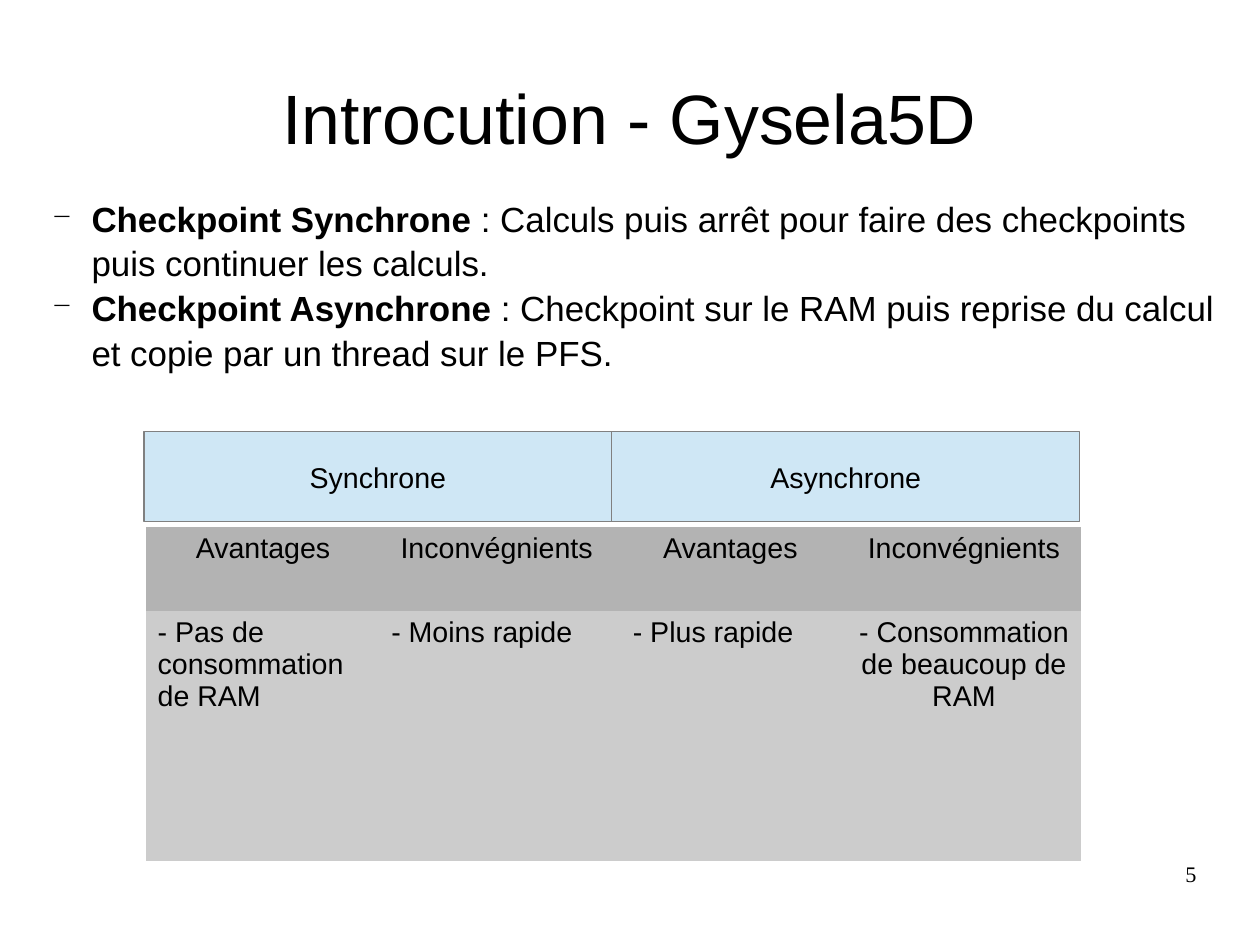
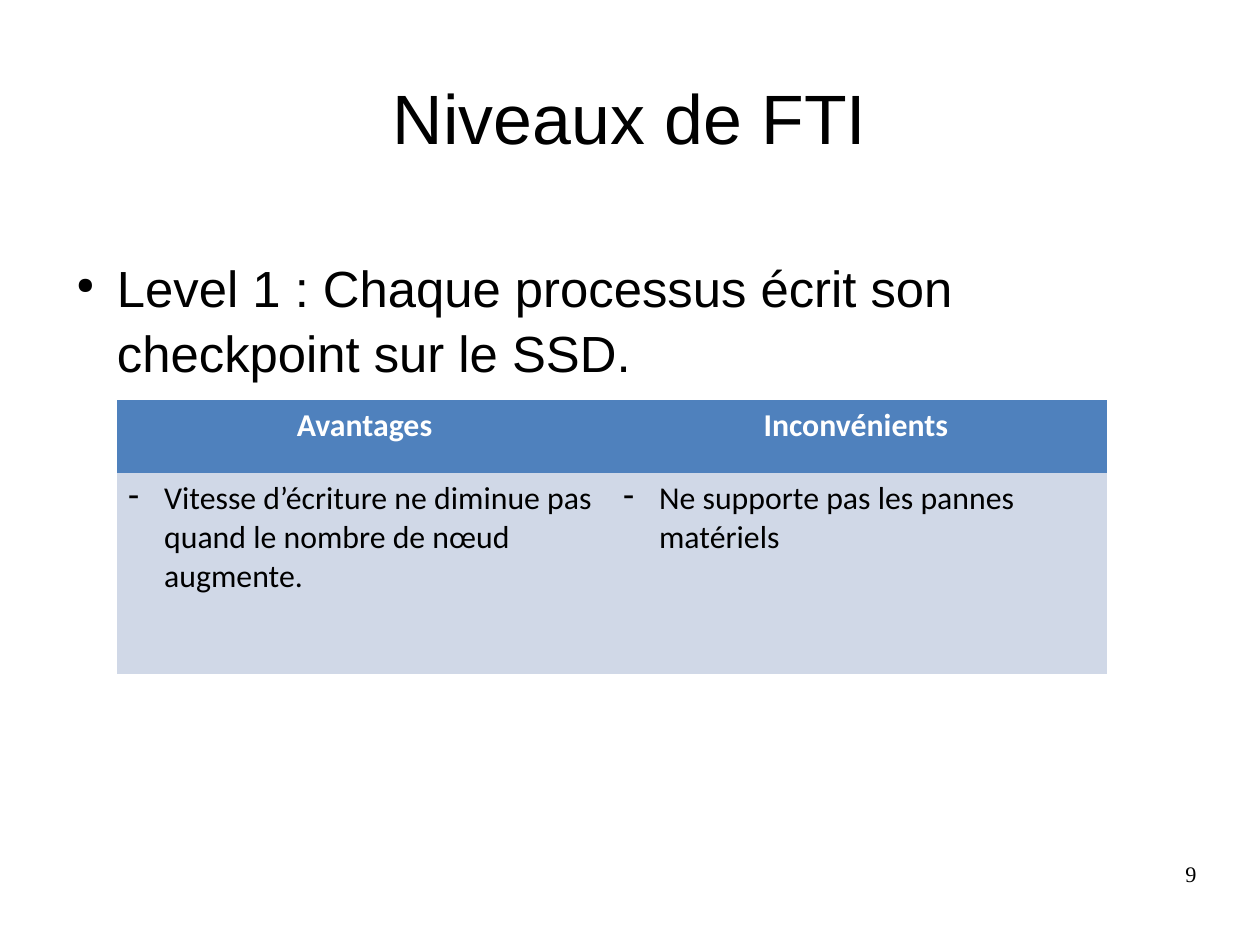
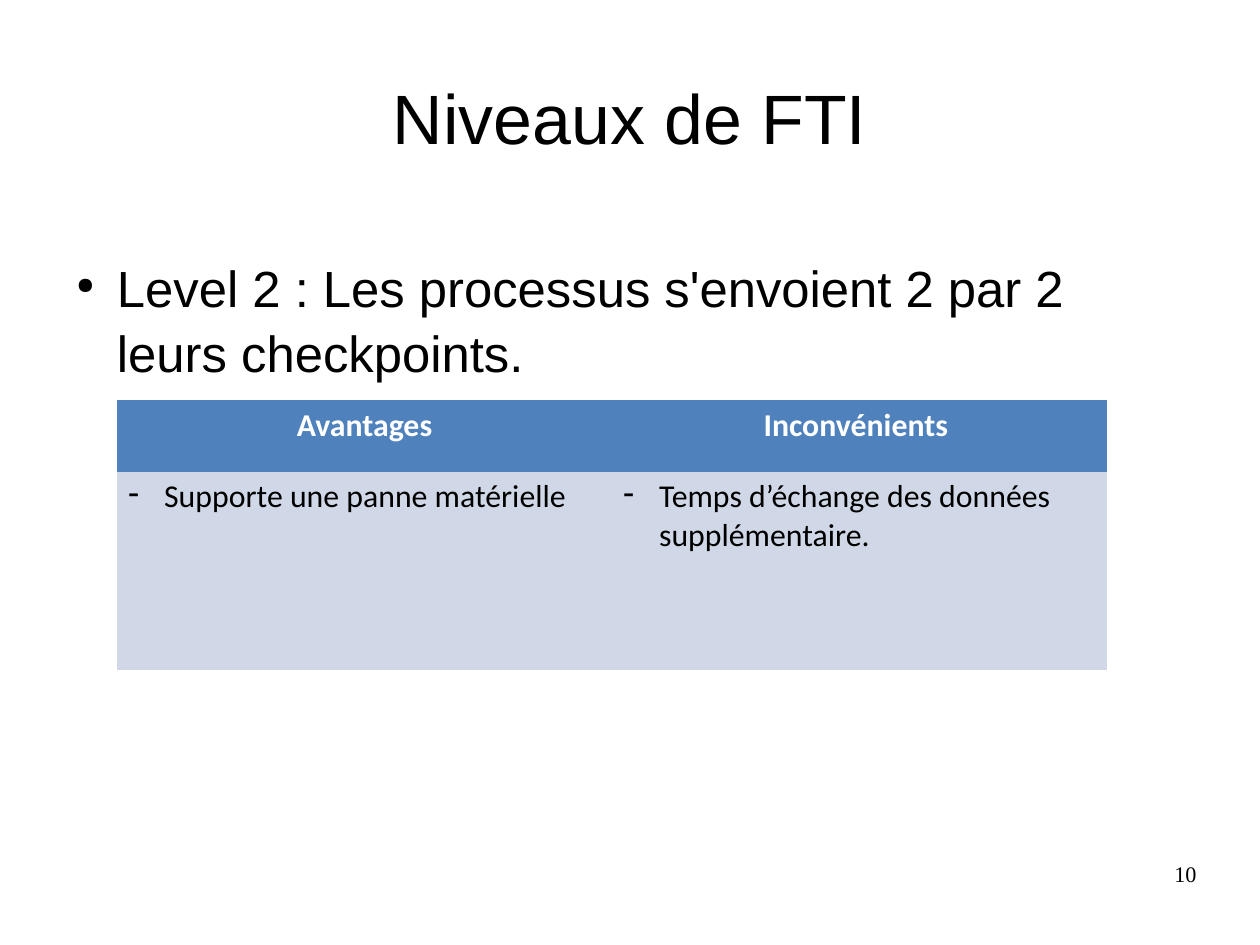
import lxml.etree
import pptx
import pptx.dml.color
import pptx.enum.shapes
import pptx.enum.text
import pptx.oxml.ns
import pptx.util

Pt = pptx.util.Pt
RGBColor = pptx.dml.color.RGBColor
ALIGN = pptx.enum.text.PP_ALIGN
ANCHOR = pptx.enum.text.MSO_ANCHOR
qn = pptx.oxml.ns.qn

# Shared look
BLACK = RGBColor(0x00, 0x00, 0x00)
WHITE = RGBColor(0xFF, 0xFF, 0xFF)
GREY = RGBColor(0x80, 0x80, 0x80)
HEADER_GREY = RGBColor(0xB3, 0xB3, 0xB3)
BODY_GREY = RGBColor(0xCC, 0xCC, 0xCC)
PALE_BLUE = RGBColor(0xCF, 0xE7, 0xF5)
HEADER_BLUE = RGBColor(0x4F, 0x81, 0xBD)
BODY_BLUE = RGBColor(0xD0, 0xD8, 0xE7)
SLIDE_WIDTH, SLIDE_HEIGHT = 793.7, 595.3
NO_TABLE_STYLE = "{2D5ABB26-0587-4C30-8999-92F81FD0307C}"
BODY_SPACING = 1.07


def add_bullet(paragraph, character, color, percent):
    properties = paragraph._p.get_or_add_pPr()
    bullet_color = lxml.etree.SubElement(properties, qn("a:buClr"))
    lxml.etree.SubElement(bullet_color, qn("a:srgbClr"), val=str(color))
    lxml.etree.SubElement(properties, qn("a:buSzPct"), val=str(percent * 1000))
    lxml.etree.SubElement(properties, qn("a:buChar"), char=character)


def write_text(frame, text, size=18, font="Arial", color=BLACK, bold=False,
               align=ALIGN.LEFT, bullet=None, bullet_percent=100,
               indent=0, hanging=0, spacing=None, first=True):
    """Write one paragraph; text is a string or a list of (text, bold) runs."""
    paragraph = frame.paragraphs[0] if first else frame.add_paragraph()
    if bullet:
        add_bullet(paragraph, bullet, color, bullet_percent)
    if indent:
        properties = paragraph._p.get_or_add_pPr()
        properties.set("marL", str(Pt(indent)))
        properties.set("indent", str(Pt(-hanging)))
    paragraph.alignment = align
    if spacing:
        paragraph.line_spacing = spacing
    for words, is_bold in [(text, bold)] if isinstance(text, str) else text:
        run = paragraph.add_run()
        run.text = words
        run.font.size = Pt(size)
        run.font.name = font
        run.font.bold = is_bold
        run.font.color.rgb = color


def add_text_box(slide, left, top, width, height, inset=(0, 0), anchor=ANCHOR.TOP):
    box = slide.shapes.add_textbox(Pt(left), Pt(top), Pt(width), Pt(height))
    frame = box.text_frame
    frame.word_wrap = True
    frame.vertical_anchor = anchor
    frame.margin_left = frame.margin_right = Pt(inset[0])
    frame.margin_top = frame.margin_bottom = Pt(inset[1])
    return frame


def add_slide(presentation, title, number):
    """Add a blank slide with the shared title and page number."""
    slide = presentation.slides.add_slide(presentation.slide_layouts[6])
    frame = add_text_box(slide, 39.6, 23.7, 714.3, 99.4, anchor=ANCHOR.MIDDLE)
    write_text(frame, title, size=44, align=ALIGN.CENTER)
    frame = add_text_box(slide, 568.8, 542.2, 185, 41)
    write_text(frame, number, size=14, font="Times New Roman", align=ALIGN.RIGHT)
    return slide


def add_header_box(slide, text, left, top, width, height):
    box = slide.shapes.add_shape(pptx.enum.shapes.MSO_SHAPE.RECTANGLE,
                                 Pt(left), Pt(top), Pt(width), Pt(height))
    box.shadow.inherit = False
    box.fill.solid()
    box.fill.fore_color.rgb = PALE_BLUE
    box.line.color.rgb = GREY
    box.line.width = Pt(0)
    box.text_frame.word_wrap = False
    box.text_frame.vertical_anchor = ANCHOR.MIDDLE
    write_text(box.text_frame, text, align=ALIGN.CENTER)


def add_table(slide, left, top, width, row_heights, rows, fills, formats):
    """Add a table of equal columns; each cell is text or (text, own format)."""
    column_count = len(rows[0])
    table = slide.shapes.add_table(len(rows), column_count, Pt(left), Pt(top),
                                   Pt(width), Pt(sum(row_heights))).table
    table._tbl.tblPr.find(qn("a:tableStyleId")).text = NO_TABLE_STYLE
    table.first_row = table.horz_banding = False
    for column in table.columns:
        column.width = Pt(width / column_count)
    for row, height, cells, fill, row_format in zip(
            table.rows, row_heights, rows, fills, formats):
        row.height = Pt(height)
        for cell, content in zip(row.cells, cells):
            text, own_format = (content, {}) if isinstance(content, str) else content
            cell.fill.solid()
            cell.fill.fore_color.rgb = fill
            write_text(cell.text_frame, text, **{**row_format, **own_format})


def add_checkpoint_slide(presentation):
    slide = add_slide(presentation, "Introcution - Gysela5D", "5")

    # Synchronous and asynchronous headings
    for index, heading in enumerate(["Synchrone", "Asynchrone"]):
        add_header_box(slide, heading, 90.7 + index * 294.7, 272, 294.7, 56.7)

    # Pros and cons of both
    centered = {"align": ALIGN.CENTER}
    add_table(slide, 92.1, 332, 588.8, [53.1, 157.1],
              [["Avantages", "Inconvégnients"] * 2,
               ["- Pas de consommation de RAM", "- Moins rapide",
                ("- Plus rapide", {"indent": 5}),
                ("- Consommation de beaucoup de RAM", centered)]],
              [HEADER_GREY, BODY_GREY], [centered, {}])

    # Definitions
    definitions = [
        ("Checkpoint Synchrone", " : Calculs puis arrêt pour faire des checkpoints "
         "puis continuer les calculs."),
        ("Checkpoint Asynchrone", " : Checkpoint sur le RAM puis reprise du calcul "
         "et copie par un thread sur le PFS."),
    ]
    frame = add_text_box(slide, 0, 118.8, 789.1, 143.3, inset=(7.2, 3.6))
    for index, (term, meaning) in enumerate(definitions):
        write_text(frame, [(term, True), (meaning, False)], size=22, bullet="−",
                   bullet_percent=75, indent=50.6, hanging=25.2,
                   spacing=BODY_SPACING, first=index == 0)


def add_level_slide(presentation, number, statement, row_heights, advantage, drawback):
    slide = add_slide(presentation, "Niveaux de FTI", number)
    frame = add_text_box(slide, 39.7, 159.1, 698.4, 345)
    write_text(frame, statement, size=32, bullet="●", bullet_percent=45,
               indent=34, hanging=25.5, spacing=BODY_SPACING)
    header = {"size": 20, "font": "Calibri", "color": WHITE, "bold": True,
              "align": ALIGN.CENTER}
    body = {"size": 20, "font": "Calibri", "bullet": "-", "indent": 22.5,
            "hanging": 22.5}
    add_table(slide, 73.7, 252, 623.6, row_heights,
              [["Avantages", "Inconvénients "], [advantage, drawback]],
              [HEADER_BLUE, BODY_BLUE], [header, body])


def main():
    presentation = pptx.Presentation()
    presentation.slide_width = Pt(SLIDE_WIDTH)
    presentation.slide_height = Pt(SLIDE_HEIGHT)
    add_checkpoint_slide(presentation)
    add_level_slide(presentation, "9",
                    "Level 1 : Chaque processus écrit son checkpoint sur le SSD.",
                    [46.2, 126.4],
                    "Vitesse d’écriture ne diminue pas quand le nombre de nœud augmente.",
                    "Ne supporte pas les pannes matériels")
    add_level_slide(presentation, "10",
                    "Level 2 : Les processus s'envoient 2 par 2 leurs checkpoints.",
                    [45.2, 124.6],
                    "Supporte une panne matérielle",
                    "Temps d’échange des données supplémentaire.")
    presentation.save("out.pptx")


if __name__ == "__main__":
    main()
